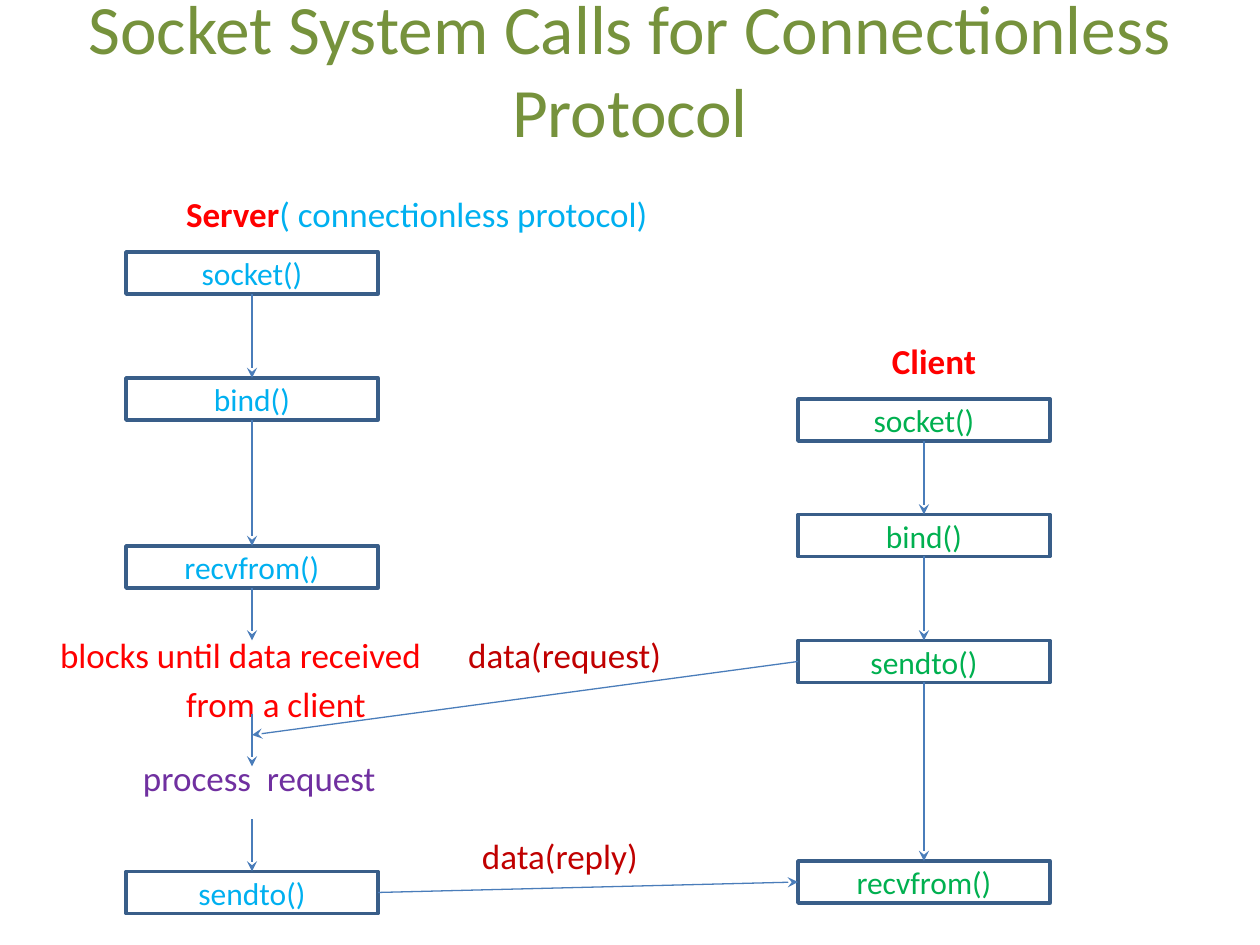
from dataclasses import dataclass

from lxml import etree
from pptx import Presentation
from pptx.dml.color import RGBColor
from pptx.enum.shapes import MSO_CONNECTOR, MSO_SHAPE
from pptx.enum.text import MSO_ANCHOR, PP_ALIGN
from pptx.oxml.ns import qn
from pptx.util import Pt

RECT = MSO_SHAPE.RECTANGLE
STRAIGHT = MSO_CONNECTOR.STRAIGHT
MIDDLE = MSO_ANCHOR.MIDDLE
CENTER = PP_ALIGN.CENTER
TOP, LEFT, BOTTOM, RIGHT = range(4)


@dataclass(frozen=True)
class Theme:
    font: str = "Calibri"
    title_size: float = 39.6
    label_size: float = 20
    call_size: float = 18
    title: str = "76923C"
    heading: str = "FF0000"
    server: str = "00B0F0"
    client: str = "00B050"
    process: str = "7030A0"
    data: str = "C00000"
    border: str = "395E89"
    arrow: str = "4A7DBA"
    border_width: float = 2
    arrow_width: float = 0.75


THEME = Theme()
CALL_HEIGHT = 24
LABEL_HEIGHT = 24


def style_run(r, size, color, bold=False):
    r.font.name = THEME.font
    r.font.size = Pt(size)
    r.font.bold = bold
    r.font.color.rgb = RGBColor.from_string(color)


def add_title(s, text, left, top, width, height):
    tf = s.shapes.add_textbox(Pt(left), Pt(top), Pt(width), Pt(height)).text_frame
    tf.word_wrap = True
    tf.vertical_anchor = MIDDLE
    tf.text = text
    p = tf.paragraphs[0]
    p.alignment = CENTER
    style_run(p.runs[0], THEME.title_size, THEME.title)


def add_label(s, left, top, width, *parts):
    tf = s.shapes.add_textbox(Pt(left), Pt(top), Pt(width), Pt(LABEL_HEIGHT)).text_frame
    tf.word_wrap = True
    tf.margin_left = tf.margin_top = tf.margin_right = tf.margin_bottom = 0
    for text, color, bold in parts:
        r = tf.paragraphs[0].add_run()
        r.text = text
        style_run(r, THEME.label_size, color, bold)


def add_call(s, text, left, top, width, color):
    sp = s.shapes.add_shape(RECT, Pt(left), Pt(top), Pt(width), Pt(CALL_HEIGHT))
    sp.shadow.inherit = False
    sp.fill.background()
    sp.line.color.rgb = RGBColor.from_string(THEME.border)
    sp.line.width = Pt(THEME.border_width)
    tf = sp.text_frame
    tf.vertical_anchor = MIDDLE
    tf.text = text
    p = tf.paragraphs[0]
    p.alignment = CENTER
    style_run(p.runs[0], THEME.call_size, color)
    return sp


def add_arrow(s, start=(0, 0), end=(0, 0), begin_at=None, end_at=None):
    line = s.shapes.add_connector(STRAIGHT, Pt(start[0]), Pt(start[1]), Pt(end[0]), Pt(end[1]))
    if begin_at:
        line.begin_connect(*begin_at)
    if end_at:
        line.end_connect(*end_at)
    line.line.color.rgb = RGBColor.from_string(THEME.arrow)
    line.line.width = Pt(THEME.arrow_width)
    etree.SubElement(line.line._get_or_add_ln(), qn("a:tailEnd"), type="stealth")
    etree.SubElement(line._element.spPr, qn("a:effectLst"))


def add_server(s, left, top, width):
    add_label(s, left + 34.3, top - 34, 300,
              ("Server", THEME.heading, True),
              ("( connectionless protocol)", THEME.server, False))
    calls = (("socket()", 0), ("bind()", 72), ("recvfrom()", 168), ("sendto()", 354))
    socket, bind, receive, send = [
        add_call(s, name, left, top + dy, width, THEME.server) for name, dy in calls
    ]
    for dx, dy, text, color in (
        (-37.7, 218, "blocks until data received", THEME.heading),
        (34.3, 246, "from a client", THEME.heading),
        (9.7, 288.5, "process  request", THEME.process),
    ):
        add_label(s, left + dx, top + dy, 220, (text, color, False))
    mid = left + width / 2
    for upper, lower in ((socket, bind), (bind, receive)):
        add_arrow(s, begin_at=(upper, BOTTOM), end_at=(lower, TOP))
    add_arrow(s, end=(mid, top + 222), begin_at=(receive, BOTTOM))
    add_arrow(s, start=(mid, top + 264), end=(mid, top + 294))
    add_arrow(s, start=(mid, top + 324), end_at=(send, TOP))
    return send, (mid, top + 276)


def add_client(s, left, top, width):
    add_label(s, left + 53.7, top - 34, 90, ("Client", THEME.heading, True))
    calls = (("socket()", 0), ("bind()", 66), ("sendto()", 138), ("recvfrom()", 264))
    boxes = [add_call(s, name, left, top + dy, width, THEME.client) for name, dy in calls]
    for upper, lower in zip(boxes, boxes[1:]):
        add_arrow(s, begin_at=(upper, BOTTOM), end_at=(lower, TOP))
    return boxes[2:]


def add_exchange(s, left, top, width, request_end, server_send, client_send, client_receive):
    add_label(s, left, top, width, ("data(request)", THEME.data, False))
    add_label(s, left + 7.8, top + 115, width, ("data(reply)", THEME.data, False))
    add_arrow(s, end=request_end, begin_at=(client_send, LEFT))
    add_arrow(s, begin_at=(server_send, RIGHT), end_at=(client_receive, LEFT))


def main():
    prs = Presentation()
    prs.slide_width, prs.slide_height = Pt(720), Pt(540)
    s = prs.slides.add_slide(prs.slide_layouts[6])
    add_title(s, "Socket System Calls for Connectionless Protocol", 36, 0, 648, 78)
    server_send, request_end = add_server(s, 72, 144, 144)
    client_send, client_receive = add_client(s, 456, 228, 144)
    add_exchange(s, 267.6, 362, 130, request_end, server_send, client_send, client_receive)
    prs.save("out.pptx")


if __name__ == "__main__":
    main()
